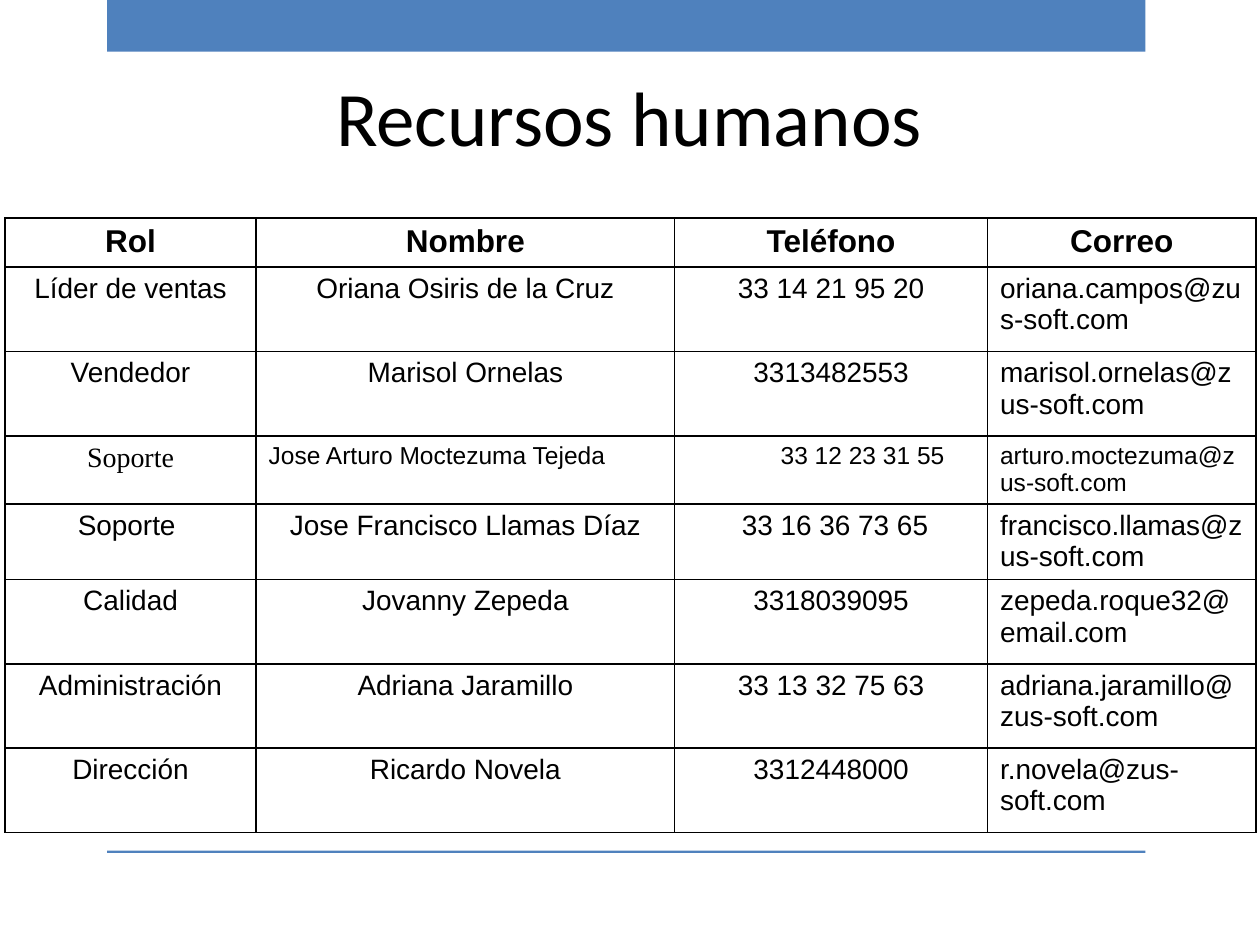
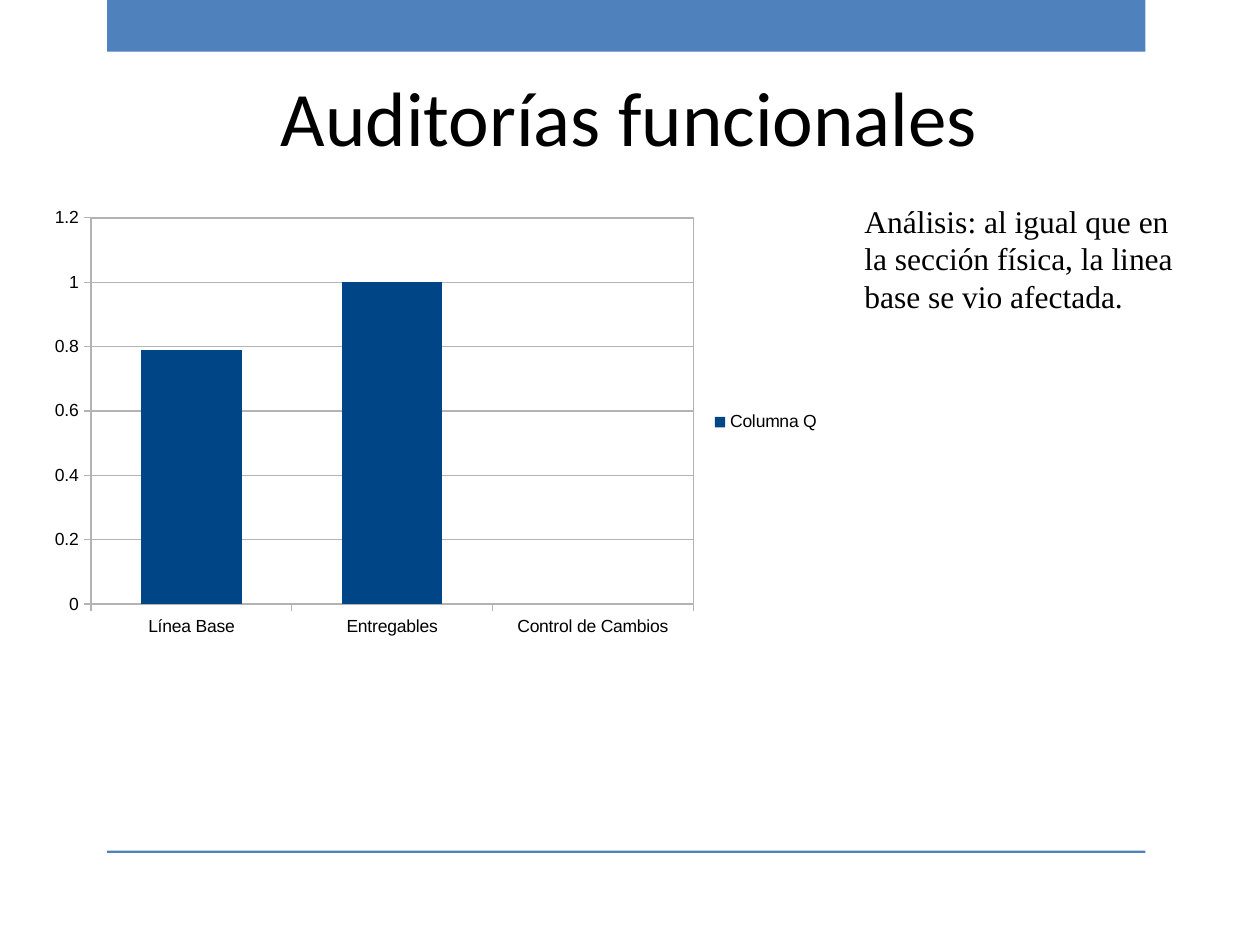
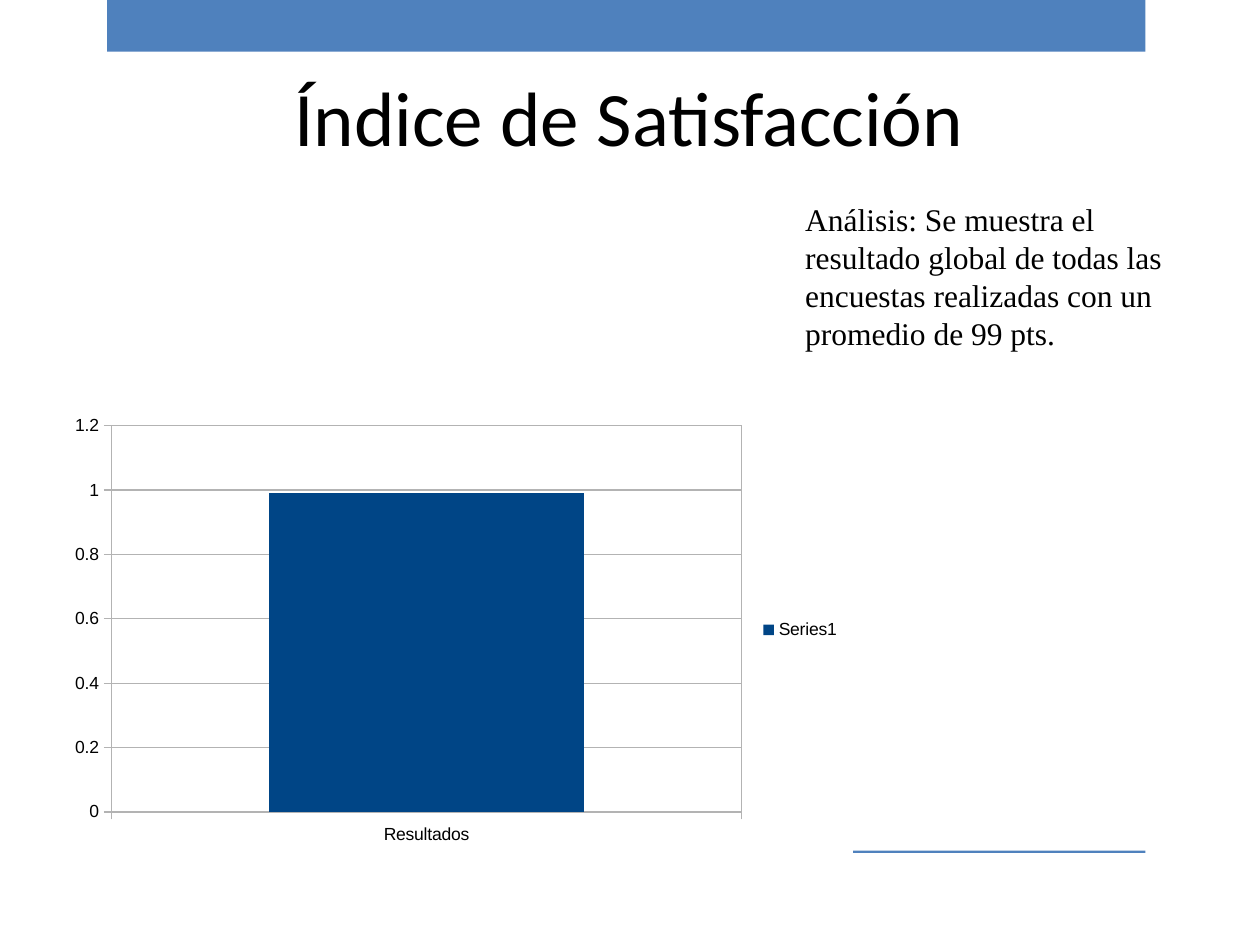
from typing import NamedTuple

from lxml import etree
from pptx import Presentation
from pptx import util as u
from pptx.chart.data import CategoryChartData
from pptx.dml.color import RGBColor
from pptx.enum import chart as chart_kinds
from pptx.enum import shapes, text
from pptx.oxml import parse_xml
from pptx.oxml.ns import nsdecls, qn

BAND_BLUE = RGBColor(0x4F, 0x81, 0xBD)
BAR_BLUE = RGBColor(0x00, 0x45, 0x86)
AXIS_GREY = RGBColor(0xB3, 0xB3, 0xB3)
BLACK = RGBColor(0, 0, 0)
WHITE = RGBColor(0xFF, 0xFF, 0xFF)

TITLE_FONT, TABLE_FONT, ANALYSIS_FONT = "Calibri", "Arial", "Times New Roman"
CENTER, LEFT = text.PP_ALIGN.CENTER, text.PP_ALIGN.LEFT

# The slide is a grid of 100 columns by 75 rows of square units.
SLIDE_WIDTH, SLIDE_HEIGHT = u.Inches(10), u.Inches(7.5)
UNIT = SLIDE_WIDTH // 100


class Box(NamedTuple):
    """A rectangle in grid units."""
    left: float
    top: float
    width: float
    height: float

    def emu(self):
        return [round(length * UNIT) for length in self]


TOP_BAND = Box(8.5, 0, 82.4, 4.1)
BOTTOM_RULE = Box(8.5, 67.5, 82.4, 0.2)
TITLE_BOX = Box(5, 3, 89.9, 12.4)
TABLE_BOX = Box(0.4, 17.3, 99.3, 48.8)

COLUMN_WIDTHS = [19.9, 33.2, 24.8, 21.3]
ROW_HEIGHTS = [3.9, 6.7, 6.7, 5.4, 6, 6.7, 6.7, 6.7]
STAFF = [
    ["Rol", "Nombre", "Teléfono", "Correo"],
    ["Líder de ventas", "Oriana Osiris de la Cruz", "33 14 21 95 20",
     "oriana.campos@zus-soft.com"],
    ["Vendedor", "Marisol Ornelas", "3313482553", "marisol.ornelas@zus-soft.com"],
    ["Soporte", "Jose Arturo Moctezuma Tejeda", "\t33 12 23 31 55",
     "arturo.moctezuma@zus-soft.com"],
    ["Soporte ", "Jose Francisco Llamas Díaz", " 33 16 36 73 65",
     "francisco.llamas@zus-soft.com"],
    ["Calidad", "Jovanny Zepeda", "3318039095", "zepeda.roque32@email.com"],
    ["Administración", "Adriana Jaramillo", "33 13 32 75 63",
     "adriana.jaramillo@zus-soft.com"],
    ["Dirección", "Ricardo Novela", "3312448000", "r.novela@zus-soft.com"],
]
HEADER_ROW, COMPACT_ROW = 0, 3
ROLE_COLUMN, NAME_COLUMN, MAIL_COLUMN = 0, 1, 3


def place(shape, box):
    shape.left, shape.top, shape.width, shape.height = box.emu()


def write(frame, words, font, size, align, bold=False):
    frame.text = words
    for para in frame.paragraphs:
        para.alignment = align
        for span in para.runs:
            span.font.name, span.font.size = font, u.Pt(size)
            span.font.bold, span.font.color.rgb = bold, BLACK


def add_master_bands(deck, slide):
    """Draw the two bands on the slide and move them behind the master's text."""
    tree = deck.slide_master.shapes.element
    for number, box in enumerate([TOP_BAND, BOTTOM_RULE]):
        band = slide.shapes.add_shape(shapes.MSO_SHAPE.RECTANGLE, *box.emu())
        band.shadow.inherit = False
        band.fill.solid()
        band.fill.fore_color.rgb = BAND_BLUE
        band.line.fill.background()
        band.element.nvSpPr.cNvPr.set("id", str(100 + number))
        tree.insert(2 + number, band.element)


def add_titled_slide(deck, layout_name, title):
    slide = deck.slides.add_slide(deck.slide_layouts.get_by_name(layout_name))
    place(slide.shapes.title, TITLE_BOX)
    frame = slide.shapes.title.text_frame
    frame.vertical_anchor = text.MSO_ANCHOR.MIDDLE
    write(frame, title, TITLE_FONT, 44, CENTER)
    return slide


def border_cell(cell):
    properties = cell._tc.get_or_add_tcPr()
    for side in ("lnL", "lnR", "lnT", "lnB"):
        line = etree.SubElement(properties, qn(f"a:{side}"), w=str(u.Pt(1)))
        fill = etree.SubElement(line, qn("a:solidFill"))
        etree.SubElement(fill, qn("a:srgbClr"), val=str(BLACK))


def cell_style(row, column):
    """Return the font, size, alignment and weight of a staff table cell."""
    if row == HEADER_ROW:
        return TABLE_FONT, 18, CENTER, True
    align = LEFT if column == MAIL_COLUMN else CENTER
    if row != COMPACT_ROW:
        return TABLE_FONT, 16, align, False
    if column == ROLE_COLUMN:
        return ANALYSIS_FONT, 16, align, False
    return TABLE_FONT, 14, LEFT if column == NAME_COLUMN else align, False


def add_staff_table(slide, box):
    table = slide.shapes.add_table(len(STAFF), len(STAFF[0]), *box.emu()).table
    for column, width in zip(table.columns, COLUMN_WIDTHS):
        column.width = round(box.width * UNIT * width / sum(COLUMN_WIDTHS))
    for row, height in zip(table.rows, ROW_HEIGHTS):
        row.height = round(box.height * UNIT * height / sum(ROW_HEIGHTS))
    for r, entries in enumerate(STAFF):
        for c, words in enumerate(entries):
            cell = table.cell(r, c)
            border_cell(cell)
            cell.fill.background()
            write(cell.text_frame, words, *cell_style(r, c))


def add_analysis(slide, box, words):
    body = slide.placeholders[1]
    place(body, box)
    frame = body.text_frame
    frame.auto_size = text.MSO_AUTO_SIZE.NONE
    write(frame, words, ANALYSIS_FONT, 18, LEFT)
    para = frame.paragraphs[0]
    para.space_before = u.Pt(0)
    properties = para._p.get_or_add_pPr()
    properties.set("marL", "0")
    properties.set("indent", "0")
    etree.SubElement(properties, qn("a:buNone"))


def area_format(fill, line):
    """Return chart area properties; each of fill and line is a colour or None."""
    def paint(color):
        if color is None:
            return "<a:noFill/>"
        return f'<a:solidFill><a:srgbClr val="{color}"/></a:solidFill>'
    return parse_xml(f'<c:spPr {nsdecls("c", "a")}>{paint(fill)}'
                     f'<a:ln w="{u.Pt(0.75)}">{paint(line)}</a:ln></c:spPr>')


def add_column_chart(slide, box, series_name, values):
    data = CategoryChartData()
    data.categories = list(values)
    data.add_series(series_name, list(values.values()))
    chart = slide.shapes.add_chart(
        chart_kinds.XL_CHART_TYPE.COLUMN_CLUSTERED, *box.emu(), data).chart
    chart.has_title = False
    chart.font.name, chart.font.size = TABLE_FONT, u.Pt(10)
    chart.font.color.rgb = BLACK
    chart.has_legend = True
    chart.legend.position = chart_kinds.XL_LEGEND_POSITION.RIGHT
    chart.legend.include_in_layout = False

    plot = chart.plots[0]
    plot.gap_width, plot.vary_by_categories = 100, False
    bars = plot.series[0].format
    bars.fill.solid()
    bars.fill.fore_color.rgb = BAR_BLUE

    scale = chart.value_axis
    scale.minimum_scale, scale.maximum_scale, scale.major_unit = 0, 1.2, 0.2
    scale.has_major_gridlines = True
    for part in (scale, scale.major_gridlines, chart.category_axis):
        part.format.line.color.rgb = AXIS_GREY
        part.format.line.width = u.Pt(0.75)

    drawing = chart.element.find(qn("c:chart"))
    drawing.addnext(area_format(WHITE, None))
    drawing.find(qn("c:plotArea")).append(area_format(None, AXIS_GREY))


def add_chart_slide(deck, title, analysis_box, analysis, chart_box, series_name, values):
    slide = add_titled_slide(deck, "Title and Content", title)
    add_analysis(slide, analysis_box, analysis)
    add_column_chart(slide, chart_box, series_name, values)


def main():
    deck = Presentation()
    deck.slide_width, deck.slide_height = SLIDE_WIDTH, SLIDE_HEIGHT

    staff_slide = add_titled_slide(deck, "Title Only", "Recursos humanos")
    add_master_bands(deck, staff_slide)
    add_staff_table(staff_slide, TABLE_BOX)

    add_chart_slide(
        deck, "Auditorías funcionales", Box(67.6, 15.5, 27.3, 30.9),
        "Análisis: al igual que en la sección física, la linea base se vio afectada.",
        Box(3.1, 15.8, 63, 35.4), "Columna Q",
        {"Línea Base": 0.79, "Entregables": 1, "Control de Cambios": None})
    add_chart_slide(
        deck, "Índice de Satisfacción", Box(62.9, 15.4, 32, 24.9),
        "Análisis: Se muestra el resultado global de todas las encuestas realizadas "
        "con un promedio de 99 pts.",
        Box(4.7, 32.3, 63, 35.4), "Series1", {"Resultados": 0.99})
    deck.save("out.pptx")


if __name__ == "__main__":
    main()
